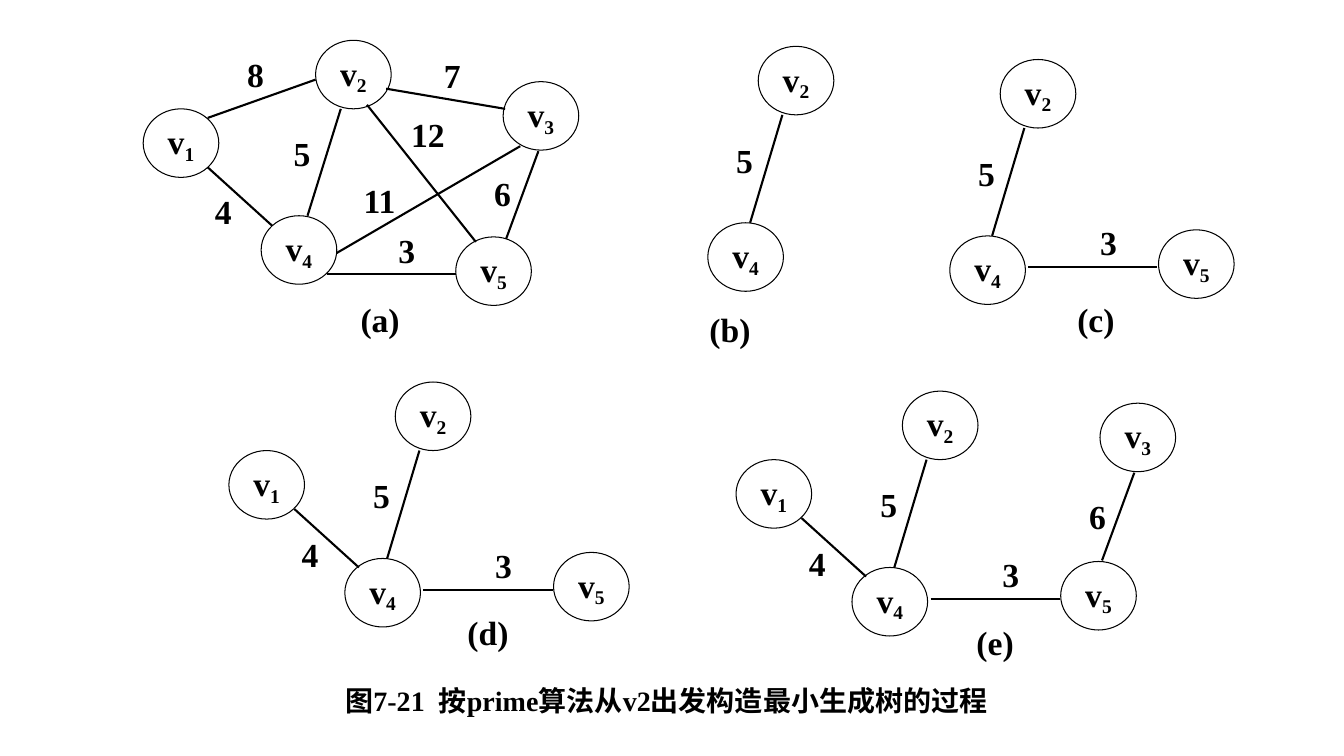
import pptx
import pptx.util
import pptx.dml.color
import pptx.enum.shapes
import pptx.enum.text
import pptx.oxml.ns
import lxml.etree

Inches = pptx.util.Inches
COLORS = {"ink": "000000"}
FONT = "Times New Roman"
NODE_SIZE = (0.75, 0.68)
WEIGHT_SIZE = (0.53, 0.49)
LABEL_SIZE = (0.64, 0.49)

# Offsets are measured from the top left corner of node v4.
# Nodes: number -> corner. Edges: weight -> label corner, line start, line end.
GRAPH_NODES = {1: (-1.17, -1.06), 3: (2.4, -1.33), 2: (0.54, -1.74),
               4: (0, 0), 5: (1.93, 0.21)}
GRAPH_EDGES = {
    4: ((-0.64, -0.29), (-0.53, -0.48), (0.11, 0.1)),
    8: ((-0.32, -1.65), (-0.53, -0.97), (0.54, -1.35)),
    5: ((0.14, -0.87), (0.79, -1.06), (0.46, 0)),
    7: ((1.63, -1.64), (1.24, -1.26), (2.42, -1.06)),
    12: ((1.39, -1.06), (1.05, -1.1), (2.13, 0.26)),
    11: ((0.91, -0.4), (0.75, 0.37), (2.57, -0.69)),
    3: ((1.18, 0.1), (0.65, 0.58), (1.93, 0.58)),
    6: ((2.13, -0.47), (2.75, -0.64), (2.43, 0.23)),
}
TREE_NODES = {1: (-1.15, -1.07), 2: (0.5, -1.75), 3: (2.46, -1.63),
              4: (0, 0), 5: (2.07, -0.06)}
TREE_EDGES = {
    5: ((0.1, -0.87), (0.74, -1.07), (0.42, 0)),
    3: ((1.31, -0.18), (0.78, 0.31), (2.06, 0.31)),
    4: ((-0.61, -0.29), (-0.5, -0.49), (0.14, 0.09)),
    6: ((2.17, -0.76), (2.8, -0.94), (2.48, -0.07)),
}

# Tree stages: label, v4 corner, label offset, nodes, edge weights
STAGES = [
    ("(b)", (7.02, 2.21), (-0.1, 0.81), (2, 4), (5,)),
    ("(c)", (9.42, 2.34), (1.13, 0.58), (2, 4, 5), (5, 3)),
    ("(d)", (3.42, 5.54), (1.1, 0.48), (1, 2, 4, 5), (5, 3, 4)),
    ("(e)", (8.45, 5.63), (1.1, 0.49), (1, 2, 3, 4, 5), (5, 3, 4, 6)),
]


def ink():
    return pptx.dml.color.RGBColor.from_string(COLORS["ink"])


def shift(origin, offset):
    return origin[0] + offset[0], origin[1] + offset[1]


def inches(*lengths):
    return [Inches(length) for length in lengths]


def write(box, text, size=24, subscript=None):
    frame = box.text_frame
    frame.word_wrap = False
    frame.vertical_anchor = pptx.enum.text.MSO_ANCHOR.MIDDLE
    para = frame.paragraphs[0]
    para.alignment = pptx.enum.text.PP_ALIGN.CENTER
    para.font.name = FONT
    para.font.size = pptx.util.Pt(size)
    para.font.bold = True
    para.font.color.rgb = ink()
    para.add_run().text = text
    if subscript:
        span = para.add_run()
        span.text = subscript
        span.font._element.set("baseline", "-20000")


def add_text(page, corner, size, text, points=24):
    write(page.shapes.add_textbox(*inches(*corner, *size)), text, points)


def add_node(page, corner, number):
    node = page.shapes.add_shape(pptx.enum.shapes.MSO_SHAPE.OVAL,
                                 *inches(*corner, *NODE_SIZE))
    node.shadow.inherit = False
    node.fill.background()
    node.line.color.rgb = ink()
    node.line.width = pptx.util.Pt(0.75)
    write(node, "v", subscript=str(number))


def add_edge(page, start, end):
    edge = page.shapes.add_connector(pptx.enum.shapes.MSO_CONNECTOR.STRAIGHT,
                                     *inches(*start, *end))
    edge.line.color.rgb = ink()
    edge.line.width = pptx.util.Pt(1.5)
    lxml.etree.SubElement(edge._element.spPr, pptx.oxml.ns.qn("a:effectLst"))


def add_graph(page, origin, label, label_offset, nodes, edges):
    for number, offset in nodes.items():
        add_node(page, shift(origin, offset), number)
    for weight, (place, start, end) in edges.items():
        add_text(page, shift(origin, place), WEIGHT_SIZE, str(weight))
        add_edge(page, shift(origin, start), shift(origin, end))
    add_text(page, shift(origin, label_offset), LABEL_SIZE, label)


def main():
    deck = pptx.Presentation()
    deck.slide_width, deck.slide_height = inches(13.33, 7.5)
    page = deck.slides.add_slide(deck.slide_layouts[6])

    # Full weighted graph
    add_graph(page, (2.59, 2.14), "(a)", (0.86, 0.78), GRAPH_NODES, GRAPH_EDGES)

    # Growing spanning tree
    for label, origin, label_offset, numbers, weights in STAGES:
        add_graph(page, origin, label, label_offset,
                  {number: TREE_NODES[number] for number in numbers},
                  {weight: TREE_EDGES[weight] for weight in weights})

    # Figure caption
    add_text(page, (2.17, 6.7), (8.88, 0.49),
             "图7-21  按prime算法从v2出发构造最小生成树的过程", 20)
    deck.save("out.pptx")


if __name__ == "__main__":
    main()
